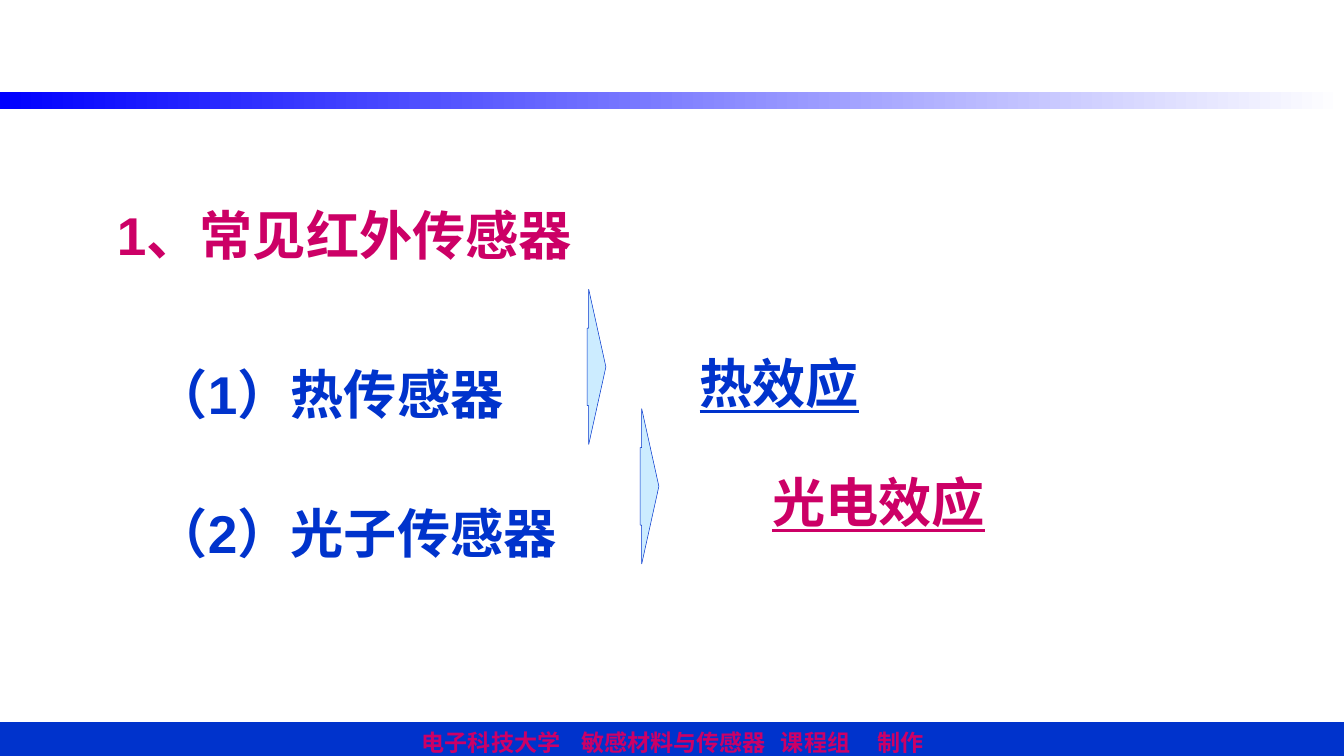
import pptx
import pptx.util
import pptx.dml.color
import pptx.enum.shapes
import pptx.enum.text
import pptx.oxml
import pptx.oxml.ns

Cm = pptx.util.Cm
Pt = pptx.util.Pt
SHAPES = pptx.enum.shapes.MSO_SHAPE
ANCHORS = pptx.enum.text.MSO_ANCHOR

COLOURS = {
    "blue": "0033CC",
    "magenta": "CC0066",
    "pale": "CCECFF",
    "bright": "0000FF",
    "white": "FFFFFF",
}
PAGE_WIDTH, PAGE_HEIGHT = 67.72, 38.1
WIDE_INSETS = (0.61, 0.3)
NARROW_INSETS = (0.25, 0.13)

FOOTER = ["电子科技大学", "敏感材料与传感器", "课程组", "制作"]
FOOTER_STARTS = [21.25, 29.28, 39.35, 44.2]
HEADING = "1、常见红外传感器"
SENSORS = ["（1）热传感器", "（2）光子传感器"]
EFFECTS = [
    {"text": "热效应", "colour": "blue", "box": (35, 14.3, 15.39, 6.4), "arrow": (29.59, 14.58)},
    {"text": "光电效应", "colour": "magenta", "box": (38.66, 20.29, 17.6, 7.59), "arrow": (32.26, 20.6)},
]
ARROW_SIZE = (0.94, 7.82)


def rgb(name):
    return pptx.dml.color.RGBColor.from_string(COLOURS[name])


def lengths(values):
    return [Cm(value) for value in values]


def set_frame(frame, insets, anchor=ANCHORS.TOP):
    frame.word_wrap = True
    frame.vertical_anchor = anchor
    frame.margin_left = frame.margin_right = Cm(insets[0])
    frame.margin_top = frame.margin_bottom = Cm(insets[1])


def add_span(para, text, size, font, colour, underline=None):
    span = para.add_run()
    span.text = text
    span.font.size = Pt(size)
    span.font.name = font
    span.font.bold = True
    span.font.underline = underline
    span.font.color.rgb = rgb(colour)


def add_text(shapes, place, lines, colour, insets, anchor=ANCHORS.TOP, spacing=None, underline=None):
    box = shapes.add_textbox(*lengths(place))
    frame = box.text_frame
    set_frame(frame, insets, anchor)
    for index, line in enumerate(lines):
        para = frame.paragraphs[0] if index == 0 else frame.add_paragraph()
        para.line_spacing = spacing
        if index:
            para.space_before = Pt(17)
        add_span(para, line, 76, "Arial", colour, underline)


def add_shape(shapes, kind, place, fill=None, line=None):
    shape = shapes.add_shape(kind, *lengths(place))
    shape.shadow.inherit = False
    if fill:
        shape.fill.solid()
        shape.fill.fore_color.rgb = rgb(fill)
    if line:
        shape.line.color.rgb = rgb(line)
        shape.line.width = Pt(0.75)
    else:
        shape.line.fill.background()
    return shape


def add_footer(page):
    bar = add_shape(page.shapes, SHAPES.RECTANGLE, (0, 36.4, PAGE_WIDTH, 2.03), "blue", "blue")
    frame = bar.text_frame
    set_frame(frame, WIDE_INSETS)
    frame.margin_left = Cm(FOOTER_STARTS[0])
    para = frame.paragraphs[0]
    para.alignment = pptx.enum.text.PP_ALIGN.LEFT
    tabs = pptx.oxml.parse_xml("<a:tabLst %s/>" % pptx.oxml.ns.nsdecls("a"))
    for start in FOOTER_STARTS[1:]:
        tab = tabs.makeelement(pptx.oxml.ns.qn("a:tab"), {
            "pos": str(int(Cm(start - FOOTER_STARTS[0]))), "algn": "l"})
        tabs.append(tab)
    para._p.get_or_add_pPr().append(tabs)
    for index, part in enumerate(FOOTER):
        add_span(para, "\t" + part if index else part, 33, "Karla", "magenta")


def add_rule(page):
    rule = add_shape(page.shapes, SHAPES.RECTANGLE, (0, 4.65, PAGE_WIDTH, 0.84))
    rule.fill.gradient()
    rule.fill.gradient_angle = 0
    for stop, position, colour in zip(rule.fill.gradient_stops, (0, 1), ("bright", "white")):
        stop.position = position
        stop.color.rgb = rgb(colour)


def add_effect(page, effect):
    group = page.shapes.add_group_shape()
    add_text(group.shapes, effect["box"], [effect["text"]], effect["colour"],
             NARROW_INSETS, spacing=2.0, underline=True)
    arrow = add_shape(group.shapes, SHAPES.RIGHT_ARROW, effect["arrow"] + ARROW_SIZE, "pale", "blue")
    arrow.adjustments[0] = 0.5
    arrow.adjustments[1] = 0.92


def main():
    deck = pptx.Presentation()
    deck.slide_width, deck.slide_height = lengths((PAGE_WIDTH, PAGE_HEIGHT))
    page = deck.slides.add_slide(deck.slide_layouts[6])
    add_footer(page)
    add_rule(page)
    add_text(page.shapes, (5.28, 7.95, 40, 7.7), [HEADING], "magenta", WIDE_INSETS, ANCHORS.MIDDLE)
    add_text(page.shapes, (7.19, 14.68, 33.27, 12.9), SENSORS, "blue", WIDE_INSETS, spacing=2.0)
    for effect in EFFECTS:
        add_effect(page, effect)
    deck.save("out.pptx")


if __name__ == "__main__":
    main()
